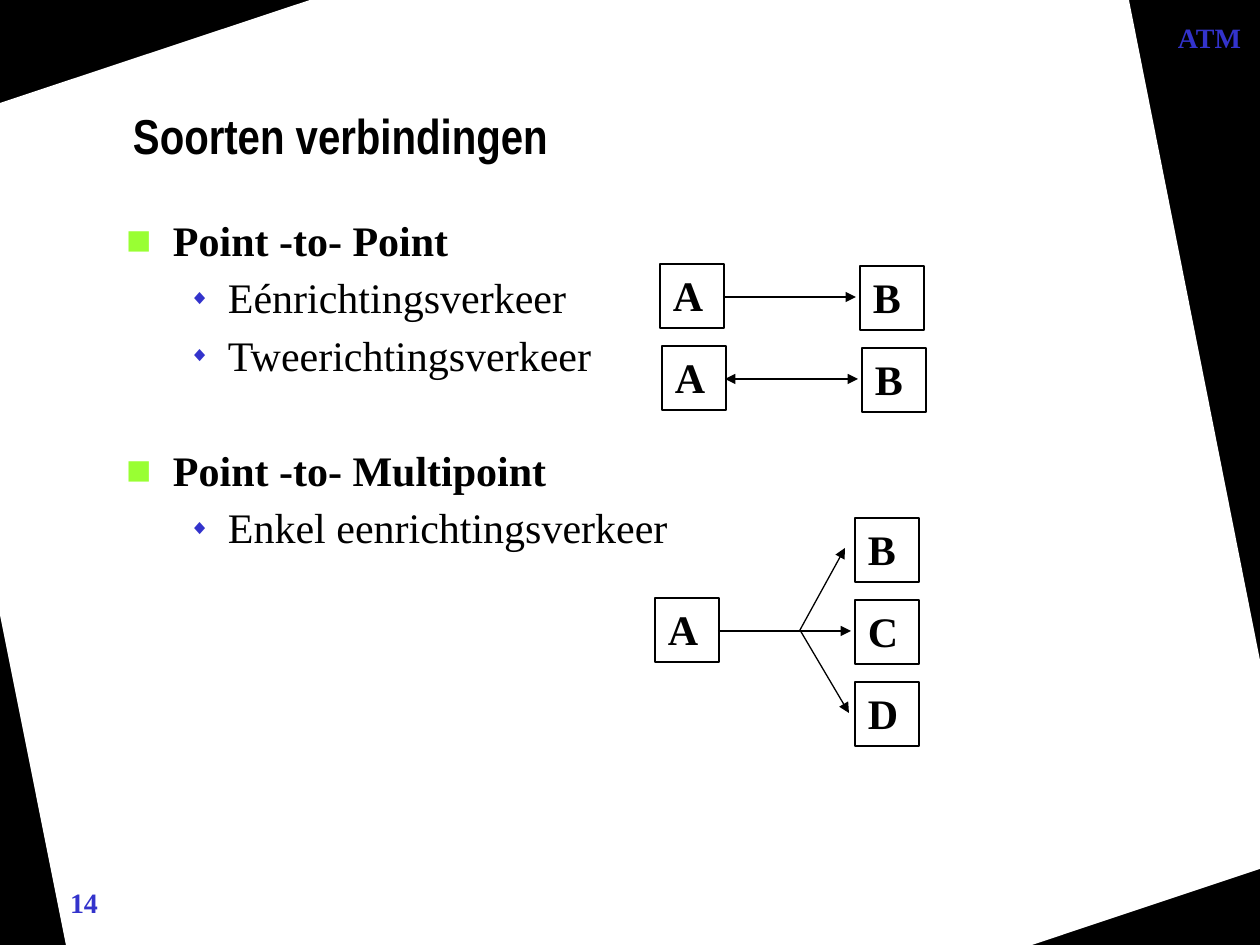
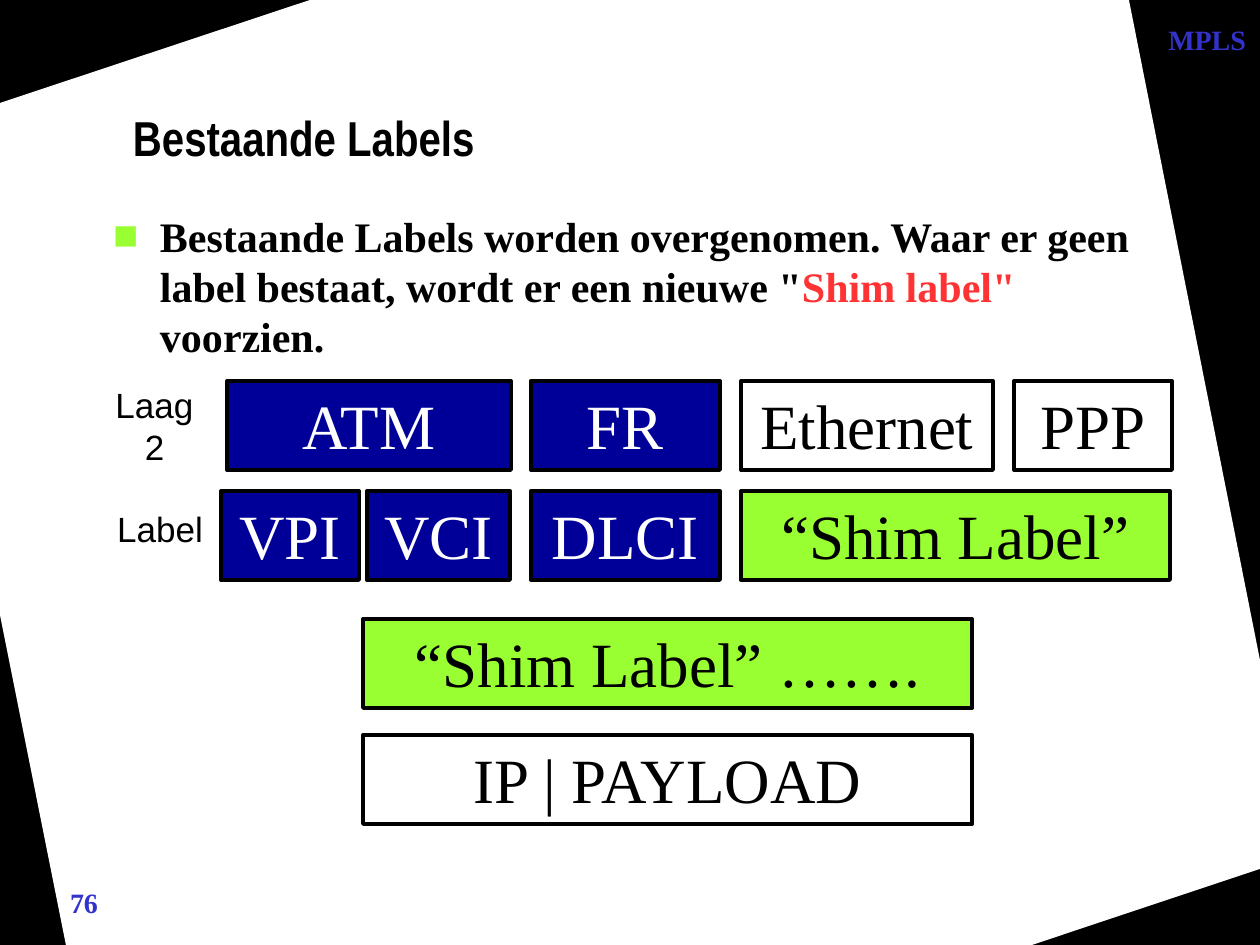
from lxml.etree import SubElement
from pptx import Presentation
from pptx.dml.color import RGBColor
from pptx.enum.shapes import MSO_CONNECTOR, MSO_SHAPE
from pptx.enum.text import MSO_ANCHOR, MSO_AUTO_SIZE, PP_ALIGN
from pptx.oxml.ns import qn
from pptx.util import Emu, Pt

SCALE = 914400 / 126
BLACK, WHITE, NAVY = "000000", "FFFFFF", "000099"
LIME, BLUE, RED = "99FF33", "3333CC", "FF3333"
SERIF = "Times New Roman"
PAD = (13, 6, 13, 6)
LOW_PAD = (13, 9, 13, 6)

PANEL = [(1129, 0), (310, 0), (0, 103), (0, 615), (66, 945),
         (1032, 945), (1260, 869), (1260, 660)]
BODY = (113, 210, 1052, 652)
NUMBER = (35, 880, 98, 42)

FONTS = {
    "title": dict(name="Arial Narrow", size=Pt(28), bold=True),
    "head": dict(name=SERIF, size=Pt(24), bold=True),
    "item": dict(name=SERIF, size=Pt(24), bold=False),
    "mark": dict(name=SERIF, size=Pt(16), bold=True),
    "cell": dict(name=SERIF, size=Pt(36), bold=False),
    "side": dict(name="Arial", size=Pt(20), bold=False),
}
# level, margin, hanging indent, bullet, bullet colour, bullet size in percent
LEVELS = {
    "head": (0, 47, 47, "■", LIME, 100),
    "item": (1, 102, 39, "◆", BLUE, 50),
}

LINKS = {
    "title": "Soorten verbindingen", "title_box": (120, 100, 1071, 73),
    "title_pad": LOW_PAD, "title_gap": 0.96,
    "number": "14", "topic": "ATM", "topic_box": (1152, 21, 89, 34),
    "pad": LOW_PAD, "spacing": 0.93,
    # kind, space before in points, runs
    "list": [
        ("head", 6, [("Point -to- Point", BLACK)]),
        ("item", 6, [("Eénrichtingsverkeer", BLACK)]),
        ("item", 6, [("Tweerichtingsverkeer", BLACK)]),
        ("head", 39, [("Point -to- Multipoint", BLACK)]),
        ("item", 6, [("Enkel eenrichtingsverkeer", BLACK)]),
    ],
}
LABELS = {
    "title": "Bestaande Labels", "title_box": (120, 95, 1071, 83),
    "title_pad": PAD, "title_gap": 1.0,
    "number": "76", "topic": "MPLS", "topic_box": (1004, 23, 242, 52),
    "pad": (0, 0, 0, 0), "spacing": 1.0,
    "list": [
        ("head", 6, [
            ("Bestaande Labels worden overgenomen. Waar er geen label "
             "bestaat, wordt er een nieuwe \"", BLACK),
            ("Shim label\"", RED), (" voorzien.", BLACK)]),
    ],
}

NODE, REACH, PITCH = 64, 200, 82
# left, top, both ways, {row offset: target}
PAIRS = [
    (660, 264, False, {0: "B"}),
    (662, 346, True, {0: "B"}),
    (655, 598, False, {-1: "B", 0: "C", 1: "D"}),
]
FORK = (800, 630)
TIPS = [(845, 548), (849, 713)]

CELL_H = 89
# top, [(text, left, width, fill, ink)]
ROWS = [
    (381, [("ATM", 227, 284, NAVY, WHITE), ("FR", 531, 189, NAVY, WHITE),
           ("Ethernet", 741, 252, WHITE, BLACK),
           ("PPP", 1014, 158, WHITE, BLACK)]),
    (491, [("VPI", 221, 138, NAVY, WHITE), ("VCI", 367, 143, NAVY, WHITE),
           ("DLCI", 531, 189, NAVY, WHITE),
           ("“Shim Label”", 741, 429, LIME, BLACK)]),
    (619, [("“Shim Label” …….", 363, 609, LIME, BLACK)]),
    (735, [("IP | PAYLOAD", 363, 609, WHITE, BLACK)]),
]
SIDES = [("Laag\n2", (104, 377, 101, 96)), ("Label", (106, 502, 108, 53))]


def px(n):
    return Emu(round(n * SCALE))


def rgb(code):
    return RGBColor.from_string(code)


def apply(obj, **vals):
    for key, val in vals.items():
        setattr(obj, key, val)


def place(shape, box):
    apply(shape, **dict(zip(("left", "top", "width", "height"), map(px, box))))


def ink(font, kind, code):
    apply(font, **FONTS[kind])
    font.color.rgb = rgb(code)


def frame(shape, pad=PAD, anchor=MSO_ANCHOR.TOP, wrap=True):
    """Set insets, anchor and wrapping, and return the text frame."""
    text = shape.text_frame
    sides = ("margin_left", "margin_top", "margin_right", "margin_bottom")
    apply(text, auto_size=MSO_AUTO_SIZE.NONE, word_wrap=wrap,
          vertical_anchor=anchor, **dict(zip(sides, map(px, pad))))
    return text


def write(shape, text, kind, code=BLACK, align=PP_ALIGN.LEFT, gap=1.0, **opts):
    body = frame(shape, **opts)
    body.text = text
    for para in body.paragraphs:
        apply(para, alignment=align, line_spacing=gap)
        for run in para.runs:
            ink(run.font, kind, code)


def label(slide, box, *args, **opts):
    write(slide.shapes.add_textbox(*map(px, box)), *args, **opts)


def block(slide, box, fill=None, width=0.75):
    shape = slide.shapes.add_shape(MSO_SHAPE.RECTANGLE, *map(px, box))
    shape.shadow.inherit = False
    if fill:
        shape.fill.solid()
        shape.fill.fore_color.rgb = rgb(fill)
    else:
        shape.fill.background()
    shape.line.color.rgb = rgb(BLACK)
    shape.line.width = Pt(width)
    return shape


def arrow(slide, start, end, both=False):
    line = slide.shapes.add_connector(
        MSO_CONNECTOR.STRAIGHT, *map(px, (*start, *end)))
    line.line.color.rgb = rgb(BLACK)
    line.line.width = Pt(0.75)
    ends = ("headEnd", "tailEnd") if both else ("tailEnd",)
    for tag in ends:
        SubElement(line.line._get_or_add_ln(), qn("a:" + tag), type="triangle")
    SubElement(line._element.spPr, qn("a:effectLst"))


def bullet(para, kind):
    level, left, hang, char, code, size = LEVELS[kind]
    para.level = level
    props = para._p.get_or_add_pPr()
    props.set("marL", str(px(left)))
    props.set("indent", str(-px(hang)))
    SubElement(SubElement(props, qn("a:buClr")), qn("a:srgbClr"), val=code)
    SubElement(props, qn("a:buSzPct"), val=str(size * 1000))
    SubElement(props, qn("a:buFont"), typeface=SERIF)
    SubElement(props, qn("a:buChar"), char=char)


def panel(slide):
    """Draw the white tilted area behind everything else."""
    path = slide.shapes.build_freeform(*PANEL[0], scale=SCALE)
    path.add_line_segments(PANEL[1:], close=True)
    shape = path.convert_to_shape()
    shape.shadow.inherit = False
    shape.fill.solid()
    shape.fill.fore_color.rgb = rgb(WHITE)
    shape.line.fill.background()
    shape._element.getparent().insert(2, shape._element)


def start(prs, data):
    """Add a slide with the shared parts, its title and its list."""
    slide = prs.slides.add_slide(prs.slide_layouts[1])
    panel(slide)
    title, body = slide.placeholders
    place(title, data["title_box"])
    write(title, data["title"], "title", gap=data["title_gap"],
          pad=data["title_pad"], anchor=MSO_ANCHOR.MIDDLE)
    place(body, BODY)
    text = frame(body, data["pad"])
    for i, (kind, before, runs) in enumerate(data["list"]):
        para = text.add_paragraph() if i else text.paragraphs[0]
        bullet(para, kind)
        apply(para, line_spacing=data["spacing"], space_before=Pt(before))
        for words, code in runs:
            run = para.add_run()
            run.text = words
            ink(run.font, kind, code)
    label(slide, NUMBER, data["number"], "mark", BLUE, PP_ALIGN.CENTER)
    label(slide, data["topic_box"], data["topic"], "mark", BLUE,
          PP_ALIGN.RIGHT, gap=0.93, pad=(0, 3, 0, 0))
    return slide


def draw_links(slide):
    for x, y, both, ends in PAIRS:
        nodes = [("A", x, y)]
        nodes += [(name, x + REACH, y + 2 + row * PITCH)
                  for row, name in ends.items()]
        for name, left, top in nodes:
            write(block(slide, (left, top, NODE, NODE)), name, "head")
        arrow(slide, (x + 63, y + 33), (x + 196, y + 33), both)
    for tip in TIPS:
        arrow(slide, FORK, tip)


def draw_labels(slide):
    for top, cells in ROWS:
        for text, left, width, fill, code in cells:
            shape = block(slide, (left, top, width, CELL_H), fill, 2.25)
            write(shape, text, "cell", code, PP_ALIGN.CENTER)
    for text, box in SIDES:
        label(slide, box, text, "side", align=PP_ALIGN.CENTER,
              pad=(11, 6, 11, 6), wrap=False)


def main():
    prs = Presentation()
    apply(prs, slide_width=px(1260), slide_height=px(945))
    back = prs.slide_master.background.fill
    back.solid()
    back.fore_color.rgb = rgb(BLACK)
    draw_links(start(prs, LINKS))
    draw_labels(start(prs, LABELS))
    prs.save("out.pptx")


if __name__ == "__main__":
    main()
